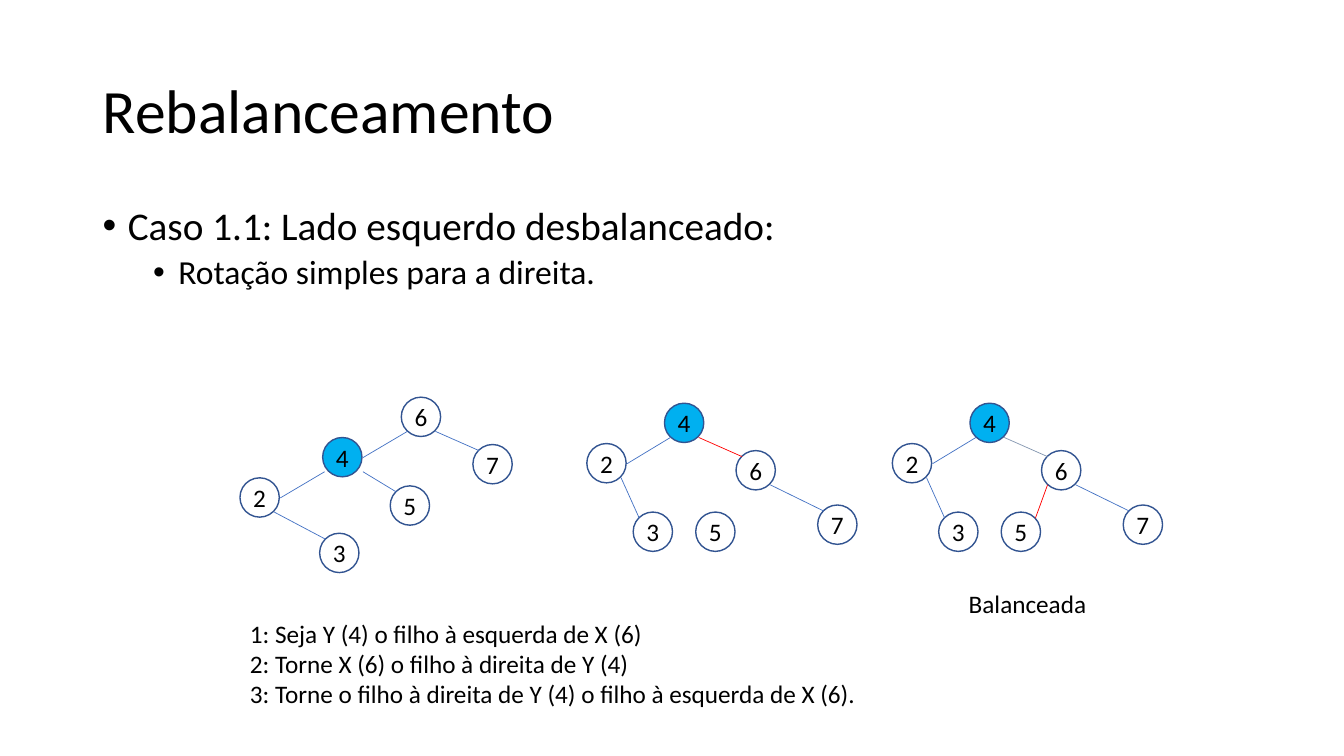
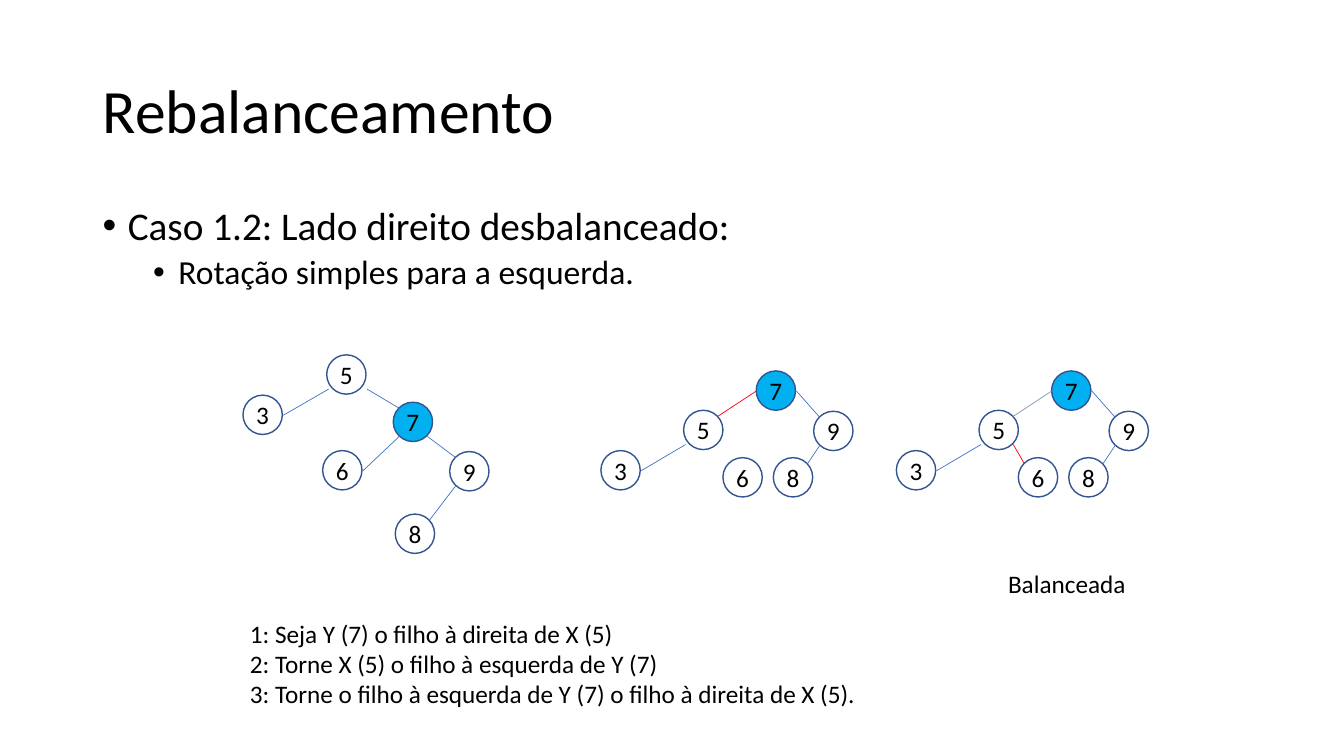
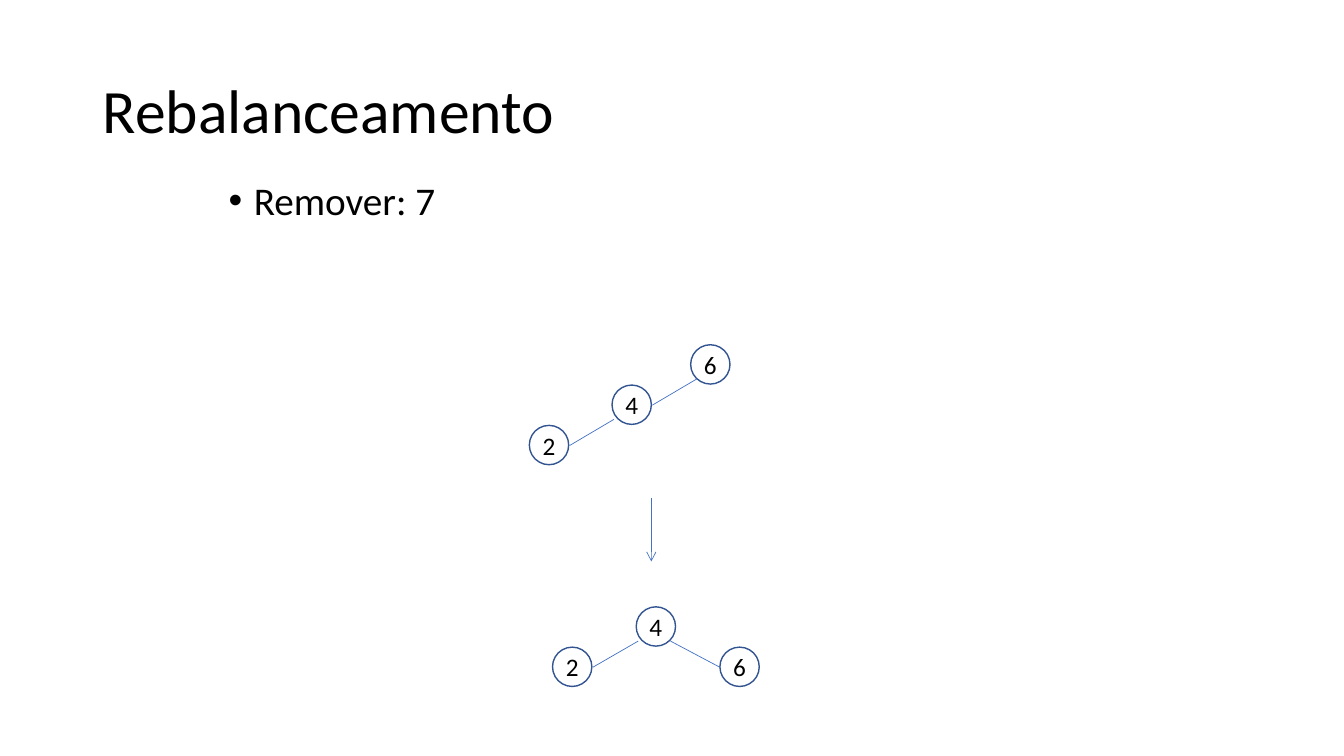
"""Build three slides on rebalancing binary search trees by rotation."""
from dataclasses import dataclass, replace
from enum import Enum
from typing import NamedTuple

from lxml import etree
from pptx import Presentation, dml, util as u
from pptx.dml.color import RGBColor
from pptx.enum import shapes, text
from pptx.oxml import ns

PX = 9144
DIAMETER = 39


@dataclass(frozen=True)
class Theme:
    font: str = "Calibri"
    ink: RGBColor = RGBColor(0, 0, 0)
    outline: RGBColor = RGBColor(0x32, 0x54, 0x91)
    pivot: RGBColor = RGBColor(0x00, 0xB0, 0xF0)
    edge: RGBColor = RGBColor(0x44, 0x72, 0xC4)
    moved: RGBColor = RGBColor(0xFF, 0, 0)
    settled: RGBColor = RGBColor(0x84, 0x97, 0xB0)
    title_size: int = 44
    bullet_sizes: tuple[int, ...] = (28, 24)
    bullet_gaps: tuple[int, ...] = (10, 5)
    label_size: int = 18
    outline_width: float = 1
    edge_width: float = 0.5


THEME = Theme()


class Port(Enum):
    LEFT = (0, 20)
    RIGHT = (40, 20)
    TOP_LEFT = (6, 6)
    TOP_RIGHT = (34, 6)
    BOTTOM_LEFT = (6, 34)
    BOTTOM_RIGHT = (34, 34)
    OUTER_LEFT = (2, 34)
    OUTER_RIGHT = (40, 34)


class Box(NamedTuple):
    left: int
    top: int
    width: int
    height: int


class Point(NamedTuple):
    x: int
    y: int


class Edge(NamedTuple):
    parent: int
    exit: Port
    child: int
    entry: Port
    color: RGBColor = THEME.edge


@dataclass(frozen=True)
class Tree:
    nodes: dict[int, Point]
    edges: tuple[Edge, ...]
    pivot: int | None = None

    def shifted(self, dx: int) -> "Tree":
        return replace(self, nodes={key: Point(p.x + dx, p.y) for key, p in self.nodes.items()})

    def port(self, key: int, port: Port) -> Point:
        dx, dy = port.value
        return Point(self.nodes[key].x + dx, self.nodes[key].y + dy)


@dataclass(frozen=True)
class Topic:
    bullets: tuple[str, ...]
    bullet_box: Box
    trees: tuple[Tree, ...]
    steps: tuple[str, ...] = ()
    verdict_at: Point | None = None
    arrow: tuple[Point, Point] | None = None


TITLE = "Rebalanceamento"
TITLE_BOX = Box(92, 40, 1150, 145)
CASE_BOX = Box(92, 200, 1150, 476)
STEPS_BOX = Box(238, 608, 660, 101)


def emu(*lengths: int) -> list[u.Emu]:
    return [u.Emu(length * PX) for length in lengths]


def set_font(paragraph, size: int) -> None:
    paragraph.font.name = THEME.font
    paragraph.font.size = u.Pt(size)
    paragraph.font.color.rgb = THEME.ink


def add_title(slide) -> None:
    title = slide.shapes.title
    title.left, title.top, title.width, title.height = emu(*TITLE_BOX)
    title.text_frame.text = TITLE
    title.text_frame.vertical_anchor = text.MSO_ANCHOR.MIDDLE
    heading = title.text_frame.paragraphs[0]
    heading.alignment = text.PP_ALIGN.LEFT
    heading.line_spacing = 0.9
    set_font(heading, THEME.title_size)


def add_lines(slide, box: Box, lines: tuple[str, ...]) -> list:
    frame = slide.shapes.add_textbox(*emu(*box)).text_frame
    frame.word_wrap = True
    frame.text = "\n".join(lines)
    for paragraph in frame.paragraphs:
        set_font(paragraph, THEME.label_size)
    return list(frame.paragraphs)


def add_bullets(slide, box: Box, lines: tuple[str, ...]) -> None:
    for level, paragraph in enumerate(add_lines(slide, box, lines)):
        paragraph.level = level
        paragraph.line_spacing = 0.9
        if level:
            paragraph.space_before = u.Pt(THEME.bullet_gaps[level])
        properties = paragraph._p.get_or_add_pPr()
        hanging = 25 * PX
        properties.set("marL", str(hanging + level * 50 * PX))
        properties.set("indent", str(-hanging))
        marker_font = etree.Element(ns.qn("a:buFont"), typeface="Arial")
        marker = etree.Element(ns.qn("a:buChar"), char="•")
        run_defaults = properties.find(ns.qn("a:defRPr"))
        run_defaults.addprevious(marker_font)
        run_defaults.addprevious(marker)
        set_font(paragraph, THEME.bullet_sizes[level])


def add_line(slide, start: Point, end: Point, color: RGBColor, arrow: bool = False) -> None:
    line = slide.shapes.add_connector(shapes.MSO_CONNECTOR.STRAIGHT, *emu(*start, *end))
    line.line.color.rgb = color
    line.line.width = u.Pt(THEME.edge_width)
    properties = line._element.spPr
    if arrow:
        etree.SubElement(properties.find(ns.qn("a:ln")), ns.qn("a:tailEnd"), type="arrow")
    etree.SubElement(properties, ns.qn("a:effectLst"))


def add_node(slide, key: int, at: Point, is_pivot: bool) -> None:
    node = slide.shapes.add_shape(
        shapes.MSO_SHAPE.OVAL, *emu(at.x, at.y, DIAMETER, DIAMETER))
    node.shadow.inherit = False
    if is_pivot:
        node.fill.solid()
        node.fill.fore_color.rgb = THEME.pivot
    else:
        node.fill.background()
    node.line.color.rgb = THEME.outline
    node.line.width = u.Pt(THEME.outline_width)
    frame = node.text_frame
    frame.margin_left = frame.margin_right = frame.margin_top = frame.margin_bottom = 0
    frame.word_wrap = False
    frame.vertical_anchor = text.MSO_ANCHOR.MIDDLE
    frame.text = str(key)
    frame.paragraphs[0].alignment = text.PP_ALIGN.CENTER
    set_font(frame.paragraphs[0], THEME.label_size)


def add_tree(slide, tree: Tree) -> None:
    for key, at in tree.nodes.items():
        add_node(slide, key, at, key == tree.pivot)
    for edge in tree.edges:
        add_line(slide, tree.port(edge.parent, edge.exit),
                 tree.port(edge.child, edge.entry), edge.color)


def rotation_steps(y: int, x: int, side: str, other: str) -> tuple[str, ...]:
    return (
        f"1: Seja Y ({y}) o ﬁlho à {side} de X ({x})",
        f"2: Torne X ({x}) o ﬁlho à {other} de Y ({y})",
        f"3: Torne o ﬁlho à {other} de Y ({y}) o ﬁlho à {side} de X ({x}).",
    )


def rotated_pair(tree: Tree, turned: Edge, adopted: Edge, dx: int) -> tuple[Tree, Tree]:
    during = replace(tree, edges=(*tree.edges, turned._replace(color=THEME.moved)))
    after = replace(tree, edges=(*tree.edges, turned._replace(color=THEME.settled),
                                 adopted._replace(color=THEME.moved)))
    return during, after.shifted(dx)


def right_rotation() -> Topic:
    before = Tree(
        {6: Point(398, 394), 4: Point(320, 434), 7: Point(469, 441),
         2: Point(238, 474), 5: Point(387, 482), 3: Point(317, 529)},
        (Edge(6, Port.BOTTOM_LEFT, 4, Port.RIGHT),
         Edge(6, Port.BOTTOM_RIGHT, 7, Port.TOP_LEFT),
         Edge(4, Port.OUTER_LEFT, 2, Port.RIGHT),
         Edge(4, Port.OUTER_RIGHT, 5, Port.TOP_LEFT),
         Edge(2, Port.BOTTOM_RIGHT, 3, Port.TOP_LEFT)),
        pivot=4)
    rotated = Tree(
        {4: Point(659, 400), 2: Point(582, 440), 6: Point(730, 447),
         3: Point(628, 508), 5: Point(690, 508), 7: Point(811, 501)},
        (Edge(4, Port.BOTTOM_LEFT, 2, Port.RIGHT),
         Edge(2, Port.BOTTOM_RIGHT, 3, Port.TOP_LEFT),
         Edge(6, Port.BOTTOM_RIGHT, 7, Port.TOP_LEFT)),
        pivot=4)
    pair = rotated_pair(rotated, Edge(4, Port.BOTTOM_RIGHT, 6, Port.TOP_LEFT),
                        Edge(6, Port.BOTTOM_LEFT, 5, Port.TOP_RIGHT), 303)
    return Topic(
        ("Caso 1.1: Lado esquerdo desbalanceado:", "Rotação simples para a direita."),
        CASE_BOX, (before, *pair), rotation_steps(4, 6, "esquerda", "direita"),
        Point(951, 579))


def left_rotation() -> Topic:
    before = Tree(
        {5: Point(324, 352), 3: Point(241, 392), 7: Point(390, 399),
         6: Point(320, 447), 9: Point(446, 448), 8: Point(392, 510)},
        (Edge(5, Port.OUTER_LEFT, 3, Port.RIGHT),
         Edge(5, Port.OUTER_RIGHT, 7, Port.TOP_LEFT),
         Edge(7, Port.BOTTOM_LEFT, 6, Port.RIGHT),
         Edge(7, Port.BOTTOM_RIGHT, 9, Port.TOP_LEFT),
         Edge(9, Port.BOTTOM_LEFT, 8, Port.TOP_RIGHT)),
        pivot=7)
    rotated = Tree(
        {7: Point(750, 368), 5: Point(678, 407), 9: Point(807, 408),
         3: Point(596, 447), 6: Point(717, 454), 8: Point(767, 454)},
        (Edge(7, Port.RIGHT, 9, Port.TOP_LEFT),
         Edge(5, Port.OUTER_LEFT, 3, Port.RIGHT),
         Edge(9, Port.BOTTOM_LEFT, 8, Port.TOP_RIGHT)),
        pivot=7)
    pair = rotated_pair(rotated, Edge(7, Port.LEFT, 5, Port.TOP_RIGHT),
                        Edge(5, Port.BOTTOM_RIGHT, 6, Port.TOP_LEFT), 293)
    return Topic(
        ("Caso 1.2: Lado direito desbalanceado:", "Rotação simples para a esquerda."),
        CASE_BOX, (before, *pair), rotation_steps(7, 5, "direita", "esquerda"),
        Point(990, 559))


def removal() -> Topic:
    before = Tree(
        {6: Point(685, 342), 4: Point(607, 382), 2: Point(525, 422)},
        (Edge(6, Port.BOTTOM_LEFT, 4, Port.RIGHT),
         Edge(4, Port.OUTER_LEFT, 2, Port.RIGHT)))
    after = Tree(
        {4: Point(631, 602), 2: Point(548, 642), 6: Point(714, 642)},
        (Edge(4, Port.OUTER_LEFT, 2, Port.RIGHT),
         Edge(4, Port.BOTTOM_RIGHT, 6, Port.LEFT)))
    return Topic(("Remover: 7",), Box(217, 175, 900, 98), (before, after),
                 arrow=(Point(646, 494), Point(646, 557)))


def add_topic(deck, topic: Topic) -> None:
    slide = deck.slides.add_slide(deck.slide_layouts[5])
    add_title(slide)
    add_bullets(slide, topic.bullet_box, topic.bullets)
    for tree in topic.trees:
        add_tree(slide, tree)
    if topic.verdict_at:
        add_lines(slide, Box(*topic.verdict_at, 150, 40), ("Balanceada",))
    if topic.steps:
        add_lines(slide, STEPS_BOX, topic.steps)
    if topic.arrow:
        add_line(slide, *topic.arrow, THEME.edge, arrow=True)


def main() -> None:
    deck = Presentation()
    deck.slide_width, deck.slide_height = u.Inches(13.33), u.Inches(7.5)
    for topic in (right_rotation(), left_rotation(), removal()):
        add_topic(deck, topic)
    deck.save("out.pptx")


if __name__ == "__main__":
    main()
